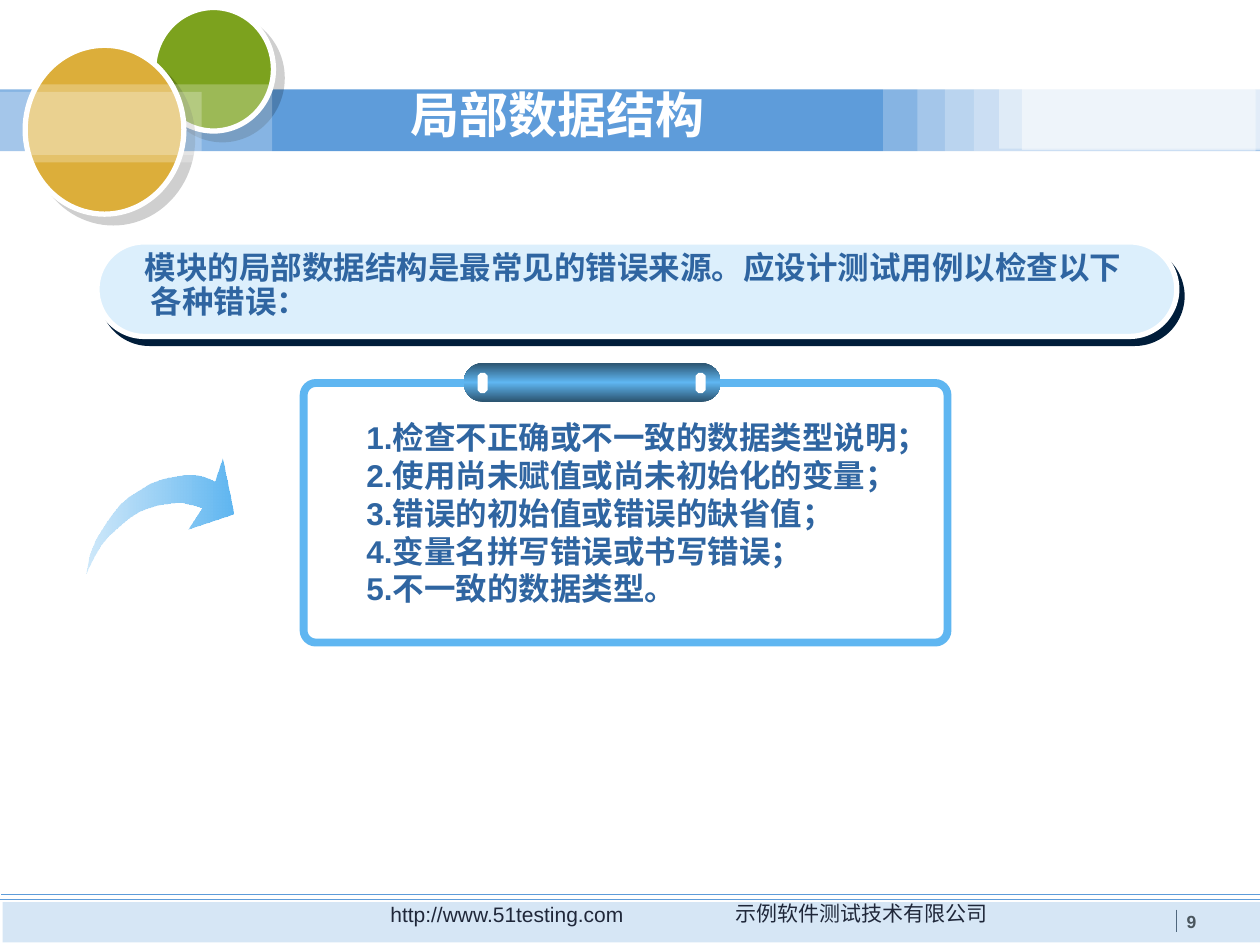
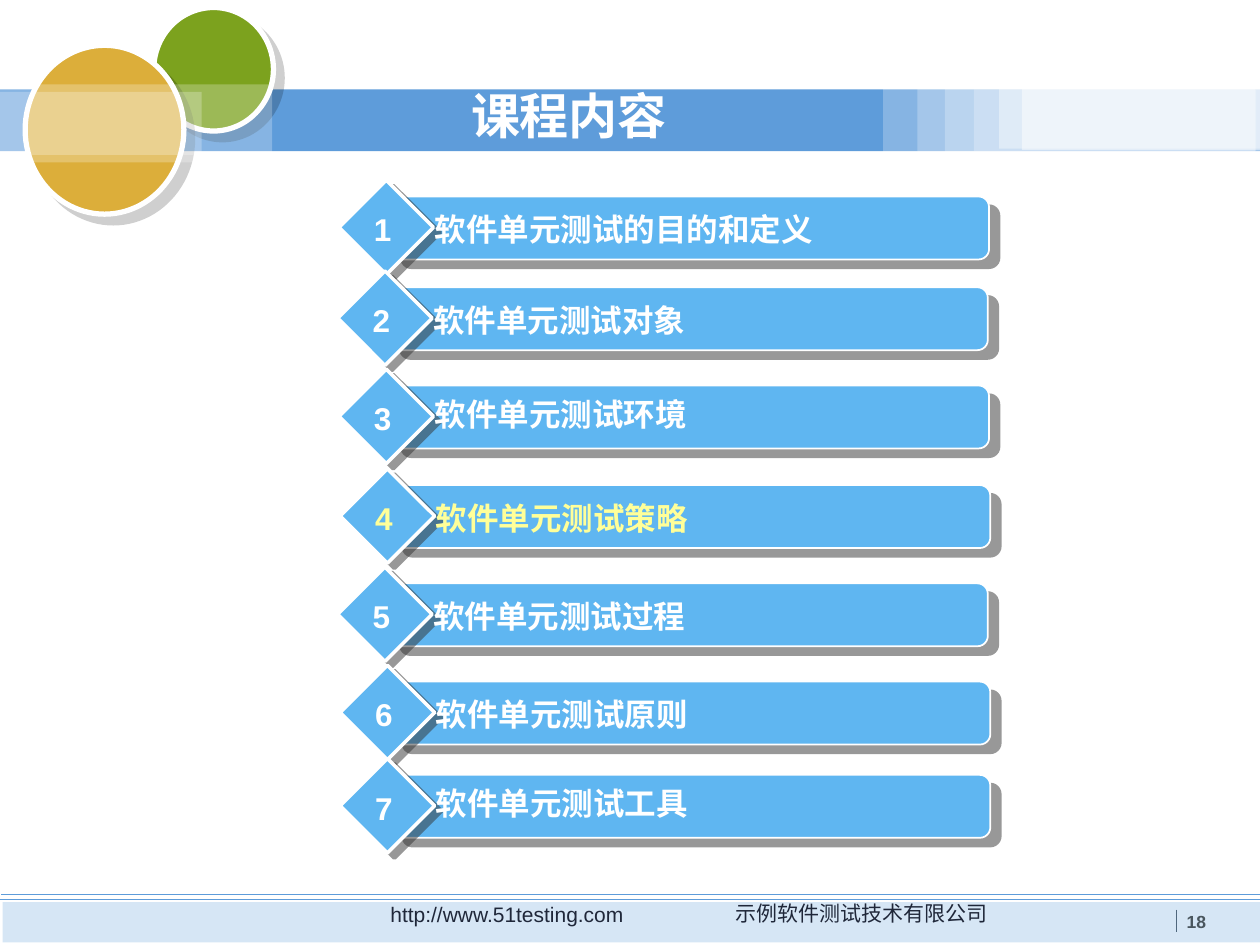
from lxml import etree
from pptx import Presentation
from pptx.dml.color import RGBColor
from pptx.enum.shapes import MSO_CONNECTOR, MSO_SHAPE
from pptx.enum.text import MSO_ANCHOR, PP_ALIGN
from pptx.oxml.ns import qn
from pptx.util import Inches, Pt

RECT = MSO_SHAPE.RECTANGLE
ROUND = MSO_SHAPE.ROUNDED_RECTANGLE
OVAL = MSO_SHAPE.OVAL
DIAMOND = MSO_SHAPE.DIAMOND
OCTAGON = MSO_SHAPE.OCTAGON
STRAIGHT = MSO_CONNECTOR.STRAIGHT
CENTER = PP_ALIGN.CENTER
MIDDLE = MSO_ANCHOR.MIDDLE

WHITE = RGBColor(0xFF, 0xFF, 0xFF)
BLACK = RGBColor(0, 0, 0)
BLUE = RGBColor(0x5E, 0x9C, 0xDA)
SKY = RGBColor(0x5F, 0xB6, 0xF1)
PALE = RGBColor(0x6D, 0xBB, 0xF1)
STEEL = RGBColor(0x2B, 0x53, 0x6F)
ICE = RGBColor(0xDC, 0xEF, 0xFC)
NAVY = RGBColor(0x00, 0x1D, 0x3A)
INK = RGBColor(0x2F, 0x65, 0xA1)
GREEN = RGBColor(0x7C, 0xA2, 0x1E)
GOLD = RGBColor(0xDC, 0xAE, 0x3A)
GREY = RGBColor(0x4A, 0x56, 0x5E)
DARK = RGBColor(0x33, 0x33, 0x33)
NIGHT = RGBColor(0x0B, 0x01, 0x04)
YELLOW = RGBColor(0xFF, 0xFF, 0x99)

# Font formats
TITLE = {"size": Pt(28), "bold": True}
BODY = {"size": Pt(18), "bold": True}
FOOT = {"size": Pt(12), "bold": False}
PAGE = {"size": Pt(10), "bold": True}

# Shadows: colour, opacity, distance in points, angle
SOFT = (BLACK, 19, 7.1, 45)
DEEP = (NAVY, 100, 5, 53)
BAR = (DARK, 50, 7.8, 40)
GEM = (DARK, 50, 5, 37)

# White veils over the title band: left, top, width, height, opacity
VEILS = [
    (7.01, 0.68, 2.95, 0.56, 25), (7.28, 0.7, 2.72, 0.57, 25),
    (7.5, 0.69, 2.5, 0.57, 25), (7.73, 0.71, 2.24, 0.49, 25),
    (7.93, 0.69, 2.07, 0.49, 40), (8.11, 0.7, 1.89, 0.49, 48),
]
GLOSS = [(0, 0.67, 2.16, 0.56, 25), (0, 0.73, 1.6, 0.56, 25)]

ARROW = [
    (0.69, 4.55), (0.71, 4.5), (0.75, 4.42), (0.81, 4.32), (0.86, 4.26),
    (0.91, 4.21), (0.97, 4.16), (1.03, 4.11), (1.11, 4.06), (1.19, 4.03),
    (1.26, 4.01), (1.33, 4), (1.44, 3.99), (1.53, 4.01), (1.6, 4.03),
    (1.49, 4.2), (1.85, 4.08), (1.76, 3.64), (1.7, 3.82), (1.63, 3.79),
    (1.55, 3.77), (1.45, 3.77), (1.33, 3.79), (1.26, 3.81), (1.19, 3.84),
    (1.11, 3.89), (1.03, 3.94), (0.96, 4), (0.9, 4.07), (0.85, 4.14),
    (0.77, 4.27), (0.72, 4.39), (0.7, 4.49),
]

INTRO = "模块的局部数据结构是最常见的错误来源。应设计测试用例以检查以下各种错误："
ERRORS = [
    "1.检查不正确或不一致的数据类型说明；",
    "2.使用尚未赋值或尚未初始化的变量；",
    "3.错误的初始值或错误的缺省值；",
    "4.变量名拼写错误或书写错误；",
    "5.不一致的数据类型。",
]

# Course rows: left and top of the bar, label, line spacing
ROWS = [
    (3.1, 1.56, "软件单元测试的目的和定义", 1),
    (3.09, 2.28, "软件单元测试对象", 1),
    (3.1, 3.06, "软件单元测试环境", 0.9),
    (3.11, 3.85, "软件单元测试策略", 1),
    (3.09, 4.63, "软件单元测试过程", 1),
    (3.11, 5.41, "软件单元测试原则", 1),
    (3.11, 6.15, "软件单元测试工具", 0.9),
]
CURRENT = 4


def tint(node, color, alpha):
    """Give a colour node an opacity in percent."""
    clr = node.find(qn("a:srgbClr"))
    if clr is None:
        clr = etree.SubElement(node, qn("a:srgbClr"), val=str(color))
    if alpha < 100:
        etree.SubElement(clr, qn("a:alpha"), val=str(alpha * 1000))


def blend(shape, stops, angle):
    """Fill with a gradient of (position, colour, opacity) stops."""
    shape.fill.gradient()
    shape.fill.gradient_angle = angle
    grad = shape.element.spPr.find(qn("a:gradFill"))
    items = grad.find(qn("a:gsLst"))
    for old in list(items):
        items.remove(old)
    for pos, color, alpha in stops:
        stop = etree.SubElement(items, qn("a:gs"), pos=str(pos * 1000))
        tint(stop, color, alpha)


def finish(shape, fill=None, alpha=100, line=None, shade=None):
    """Set fill, outline (colour, points) and shadow."""
    props = shape.element.spPr
    if fill is None:
        shape.fill.background()
    else:
        shape.fill.solid()
        shape.fill.fore_color.rgb = fill
        tint(props.find(qn("a:solidFill")), fill, alpha)
    if line:
        shape.line.color.rgb, shape.line.width = line[0], Pt(line[1])
    else:
        shape.line.fill.background()
    shape.shadow.inherit = False
    if shade:
        color, alpha, dist, angle = shade
        outer = etree.SubElement(
            props.find(qn("a:effectLst")), qn("a:outerShdw"), blurRad="0",
            dist=str(Pt(dist)), dir=str(angle * 60000),
            algn="ctr", rotWithShape="0")
        tint(outer, color, alpha)


def block(shapes, kind, box, adj=None, **look):
    shape = shapes.add_shape(kind, *map(Inches, box))
    if adj is not None:
        shape.adjustments[0] = adj
    finish(shape, **look)
    return shape


def rule(shapes, x1, y1, x2, y2, color):
    line = shapes.add_connector(STRAIGHT, *map(Inches, (x1, y1, x2, y2)))
    line.line.color.rgb, line.line.width = color, Pt(0.75)
    etree.SubElement(line._element.spPr, qn("a:effectLst"))


def write(shapes, box, lines, form, color, wrap=True, anchor=None,
          left=0, first=0, **para):
    """Add a text box; left and first are indents in inches."""
    frame = shapes.add_textbox(*map(Inches, box)).text_frame
    frame.word_wrap = wrap
    if anchor is not None:
        frame.vertical_anchor = anchor
    for i, text in enumerate(lines):
        par = frame.add_paragraph() if i else frame.paragraphs[0]
        if left:
            props = par._p.get_or_add_pPr()
            props.set("marL", str(Inches(left)))
            props.set("indent", str(Inches(first)))
        for key, value in para.items():
            setattr(par, key, value)
        font = par.add_run().font
        par.runs[0].text = text
        for key, value in form.items():
            setattr(font, key, value)
        font.name = "Arial"
        font.color.rgb = color


def veil(shapes, items):
    for *box, alpha in items:
        block(shapes, RECT, box, fill=WHITE, alpha=alpha)


def base(deck, title, box, page):
    """Start a slide with its band, discs, footer and title."""
    shapes = deck.slides.add_slide(deck.slide_layouts[6]).shapes
    edge = (WHITE, 3)
    # Band and green disc
    block(shapes, RECT, (0, 0.71, 10, 0.49), fill=BLUE)
    block(shapes, OVAL, (1.22, 0.06, 0.95, 0.98), fill=GREEN, line=edge,
          shade=SOFT)
    # Footer text and rules
    rule(shapes, 9.34, 7.22, 9.34, 7.4, GREY)
    write(shapes, (5.08, 7.1, 3.52, 0.3), ["示例软件测试技术有限公司"],
          FOOT, NIGHT, alignment=CENTER)
    write(shapes, (2.39, 7.11, 3.27, 0.3), ["http://www.51testing.com"],
          FOOT, NIGHT, alignment=CENTER)
    rule(shapes, 0, 7.14, 10, 7.14, BLUE)
    veil(shapes, VEILS)
    block(shapes, RECT, (0.02, 7.16, 9.98, 0.32), fill=BLUE, alpha=25)
    rule(shapes, 0.01, 7.1, 10.01, 7.1, BLUE)
    # Gold disc and gloss
    block(shapes, OVAL, (0.2, 0.36, 1.26, 1.34), fill=GOLD, line=edge,
          shade=SOFT)
    veil(shapes, GLOSS)
    write(shapes, (9.32, 7.18, 0.48, 0.27), [str(page)], PAGE, GREY)
    write(shapes, box, [title], TITLE, WHITE, anchor=MIDDLE,
          line_spacing=0.9)
    return shapes


def arrow(shapes):
    pts = [(Inches(x), Inches(y)) for x, y in ARROW]
    path = shapes.build_freeform(*pts[0])
    path.add_line_segments(pts[1:], close=True)
    shape = path.convert_to_shape()
    finish(shape)
    blend(shape, [(0, SKY, 100), (100, PALE, 32)], 180)


def board(shapes):
    """Draw the framed board with its clip."""
    block(shapes, ROUND, (2.41, 3.04, 5.11, 2.06), adj=0.047, line=(SKY, 4.5))
    clip = block(shapes, ROUND, (3.68, 2.88, 2.04, 0.31), adj=0.5)
    blend(clip, [(0, STEEL, 100), (50, SKY, 100), (100, STEEL, 100)], 90)
    for x in (5.52, 3.79):
        block(shapes, OCTAGON, (x, 2.96, 0.08, 0.16), adj=0.293, fill=WHITE)


def row(shapes, num, x, y, label, space):
    """Draw one numbered course row as a group."""
    group = shapes.add_group_shape().shapes
    color = YELLOW if num == CURRENT else WHITE
    block(group, ROUND, (x, y, 4.75, 0.5), adj=0.167, fill=SKY,
          line=(WHITE, 1), shade=BAR)
    block(group, DIAMOND, (x - 0.41, y - 0.13, 0.75, 0.75), fill=SKY,
          line=(WHITE, 2), shade=GEM)
    write(group, (x + 0.25, y + 0.06, 3.75, 0.4), [label], BODY, color,
          line_spacing=space)
    write(group, (x - 0.23, y + 0.06, 0.34, 0.4), [str(num)], BODY, color,
          wrap=False)


def main():
    deck = Presentation()
    deck.slide_width, deck.slide_height = Inches(10), Inches(7.5)

    # Local data structure
    shapes = base(deck, "局部数据结构", (3.16, 0.41, 3.35, 1.04), 9)
    block(shapes, ROUND, (0.77, 1.92, 8.57, 0.75), adj=0.5, fill=ICE,
          line=(WHITE, 3), shade=DEEP)
    write(shapes, (0.72, 1.95, 8.44, 0.64), [INTRO], BODY, INK,
          left=0.38, first=-0.05, line_spacing=0.9)
    write(shapes, (2.31, 3.27, 5.5, 1.6), ERRORS, BODY, INK, left=0.5)
    arrow(shapes)
    board(shapes)

    # Course contents
    shapes = base(deck, "课程内容", (3.64, 0.42, 2.47, 1.04), 18)
    for num, item in enumerate(ROWS, 1):
        row(shapes, num, *item)

    deck.save("out.pptx")


if __name__ == "__main__":
    main()
